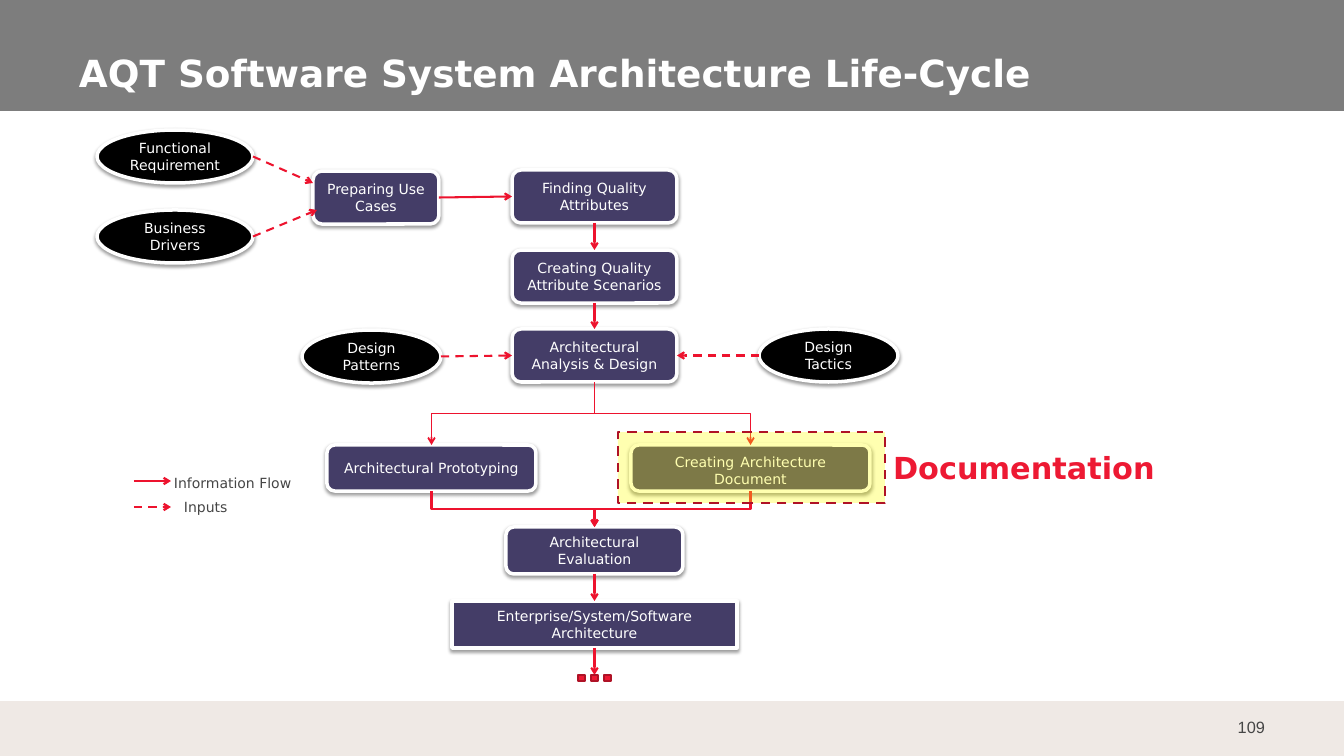
from lxml import etree
from pptx import Presentation
from pptx.dml.color import RGBColor
from pptx.enum.dml import MSO_LINE
from pptx.enum.shapes import MSO_CONNECTOR, MSO_SHAPE
from pptx.enum.text import MSO_ANCHOR, PP_ALIGN
from pptx.oxml.ns import qn
from pptx.util import Pt

PX = 914400 / 84
RECT, ROUND, OVAL = MSO_SHAPE.RECTANGLE, MSO_SHAPE.ROUNDED_RECTANGLE, MSO_SHAPE.OVAL
STRAIGHT, ELBOW = MSO_CONNECTOR.STRAIGHT, MSO_CONNECTOR.ELBOW
DASH = MSO_LINE.DASH
LEFT, CENTER, RIGHT = PP_ALIGN.LEFT, PP_ALIGN.CENTER, PP_ALIGN.RIGHT
TOP, MIDDLE, BOTTOM = MSO_ANCHOR.TOP, MSO_ANCHOR.MIDDLE, MSO_ANCHOR.BOTTOM

WHITE = RGBColor(0xFF, 0xFF, 0xFF)
BLACK = RGBColor(0, 0, 0)
GREY = RGBColor(0x7D, 0x7D, 0x7D)
BEIGE = RGBColor(0xEF, 0xE9, 0xE5)
TEXT = RGBColor(0x46, 0x46, 0x46)
PURPLE = RGBColor(0x44, 0x3D, 0x67)
ARROW = RGBColor(0xED, 0x13, 0x2E)
RED = RGBColor(0xED, 0x19, 0x33)
DARK_RED = RGBColor(0xAF, 0x12, 0x26)
YELLOW = RGBColor(0xFF, 0xFF, 0)


def px(n):
    return round(n * PX)


def style(r, size, color, bold=False, name="DejaVu Sans"):
    r.font.size = Pt(size)
    r.font.name = name
    r.font.bold = bold
    r.font.color.rgb = color


def write(sp, text, size, color, align=LEFT, anchor=TOP, bold=False, name="DejaVu Sans"):
    tf = sp.text_frame
    tf.text = text
    tf.vertical_anchor = anchor
    for p in tf.paragraphs:
        p.alignment = align
        for r in p.runs:
            style(r, size, color, bold, name)


def add_label(slide, x, y, w, h, margins, wrap, text, *look, **more):
    sp = slide.shapes.add_textbox(px(x), px(y), px(w), px(h))
    tf = sp.text_frame
    tf.word_wrap = wrap
    tf.margin_left = tf.margin_right = px(margins[0])
    tf.margin_top = tf.margin_bottom = px(margins[1])
    write(sp, text, *look, **more)


def add_block(slide, kind, x, y, w, h, fill, line=None, width=2):
    sp = slide.shapes.add_shape(kind, px(x), px(y), px(w), px(h))
    sp.shadow.inherit = False
    sp.fill.solid()
    sp.fill.fore_color.rgb = fill
    if line is None:
        sp.line.fill.background()
    else:
        sp.line.color.rgb = line
        sp.line.width = Pt(width)
    return sp


def add_node(slide, kind, x, y, w, h, text):
    sp = add_block(slide, kind, x, y, w, h, BLACK if kind == OVAL else PURPLE, WHITE, 3)
    effects = sp.element.spPr.find(qn("a:effectLst"))
    shadow = etree.SubElement(effects, qn("a:outerShdw"), blurRad=str(Pt(3.1)),
                              dist=str(Pt(1.6)), dir="5400000", rotWithShape="0")
    color = etree.SubElement(shadow, qn("a:srgbClr"), val="000000")
    etree.SubElement(color, qn("a:alpha"), val="38000")
    write(sp, text, 12, WHITE, CENTER, MIDDLE)
    return sp


def add_arrow(slide, start, end, dashed=False, kind=STRAIGHT, width=1.75):
    c = slide.shapes.add_connector(kind, *[round(v) for v in (*start, *end)])
    c.line.color.rgb = ARROW
    c.line.width = Pt(width)
    if dashed:
        c.line.dash_style = DASH
    spPr = c.element.spPr
    etree.SubElement(spPr.find(qn("a:ln")), qn("a:tailEnd"), type="arrow")
    etree.SubElement(spPr, qn("a:effectLst"))
    return c


def top(sp):
    return sp.left + sp.width / 2, sp.top


def bottom(sp):
    return sp.left + sp.width / 2, sp.top + sp.height


def left(sp):
    return sp.left, sp.top + sp.height / 2


def right(sp):
    return sp.left + sp.width, sp.top + sp.height / 2


def add_branch(slide, start, end, width):
    (x1, y1), (x2, y2) = start, end
    cx, cy = (x1 + x2) / 2, (y1 + y2) / 2
    half_w, half_h = (y2 - y1) / 2, abs(x2 - x1) / 2
    side = 1 if x2 < x1 else -1
    c = add_arrow(slide, (cx - side * half_w, cy - half_h),
                  (cx + side * half_w, cy + half_h), kind=ELBOW, width=width)
    turn = 90 if side == 1 else 270
    c.element.spPr.find(qn("a:xfrm")).set("rot", str(turn * 60000))


def add_header(slide, x, y, w, h):
    add_block(slide, RECT, x, y, w, h, GREY)
    add_label(slide, x + 67, y + 39, 1194, 62, (12, 6), True,
              "AQT Software System Architecture Life-Cycle", 32, WHITE,
              anchor=BOTTOM, bold=True)


def add_footer(slide, x, y, w, h):
    add_block(slide, RECT, x, y, w, h, BEIGE)
    add_label(slide, x + w - 134, y + 6, 67, 40, (12, 6), True,
              "109", 14, TEXT, RIGHT, MIDDLE, name="Arial")


def add_flow(slide, x, y):
    def node(kind, dx, dy, w, h, text):
        return add_node(slide, kind, x + dx, y + dy, w, h, text)

    functional = node(OVAL, 0, 0, 156, 53, "Functional Requirement")
    drivers = node(OVAL, 0, 80, 156, 53, "Business Drivers")
    use_cases = node(ROUND, 216, 41, 126, 53, "Preparing Use Cases")
    quality = node(ROUND, 415, 40, 165, 53, "Finding Quality Attributes")
    scenarios = node(ROUND, 415, 120, 165, 53, "Creating Quality\nAttribute Scenarios")
    analysis = node(ROUND, 415, 199, 165, 53, "Architectural\nAnalysis & Design")
    patterns = node(OVAL, 205, 200, 139, 53, "Design Patterns")
    tactics = node(OVAL, 662, 199, 139, 53, "Design Tactics")
    prototyping = node(ROUND, 230, 315, 209, 46, "Architectural Prototyping")
    document = node(ROUND, 534, 315, 239, 46, "")
    evaluation = node(ROUND, 409, 397, 177, 47, "Architectural Evaluation")
    result = node(RECT, 355, 471, 285, 47, "Enterprise/System/Software Architecture")

    p = document.text_frame.paragraphs[0]
    for piece in ("Creating", " ", "Architecture", " ", "Document"):
        r = p.add_run()
        r.text = piece
        style(r, 16 if piece == " " else 12, WHITE)

    for a, b in ((quality, scenarios), (scenarios, analysis), (evaluation, result)):
        add_arrow(slide, bottom(a), top(b))
    add_arrow(slide, right(use_cases), left(quality))
    add_arrow(slide, right(functional), (px(x + 216), px(y + 53)), True)
    add_arrow(slide, right(drivers), (px(x + 220), px(y + 80)), True)
    add_arrow(slide, right(patterns), left(analysis), True)
    add_arrow(slide, left(tactics), right(analysis), True)
    for task in (prototyping, document):
        add_branch(slide, bottom(analysis), top(task), 1.5)
        add_branch(slide, bottom(task), top(evaluation), 2)

    add_arrow(slide, bottom(result), (bottom(result)[0], px(y + 545)))
    for i in range(3):
        add_block(slide, RECT, x + 481 + 13 * i, y + 545, 7, 6, RED, DARK_RED)


def add_legend(slide, x, y):
    for text, dx, dy, dashed in (("Information Flow", 40, 0, False), ("Inputs", 50, 26, True)):
        add_arrow(slide, (px(x), px(y + dy)), (px(x + 37), px(y + dy)), dashed)
        add_label(slide, x + dx, y + dy * 24 // 26 - 6, 119, 20, (0, 0), False, text, 12, TEXT)


def add_highlight(slide, x, y, w, h):
    sp = add_block(slide, RECT, x, y, w, h, YELLOW, DARK_RED)
    sp.line.dash_style = DASH
    color = sp.element.spPr.find(qn("a:solidFill")).find(qn("a:srgbClr"))
    etree.SubElement(color, qn("a:alpha"), val="31000")
    add_label(slide, x + w, y + 13, 280, 45, (8, 4), False,
              "Documentation", 26, RED, bold=True)


def main():
    prs = Presentation()
    prs.slide_width, prs.slide_height = px(1344), px(756)
    slide = prs.slides.add_slide(prs.slide_layouts[6])
    add_header(slide, 0, 0, 1344, 111)
    add_footer(slide, 0, 701, 1344, 55)
    add_flow(slide, 97, 130)
    add_legend(slide, 134, 481)
    add_highlight(slide, 618, 432, 267, 71)
    prs.save("out.pptx")


if __name__ == "__main__":
    main()
